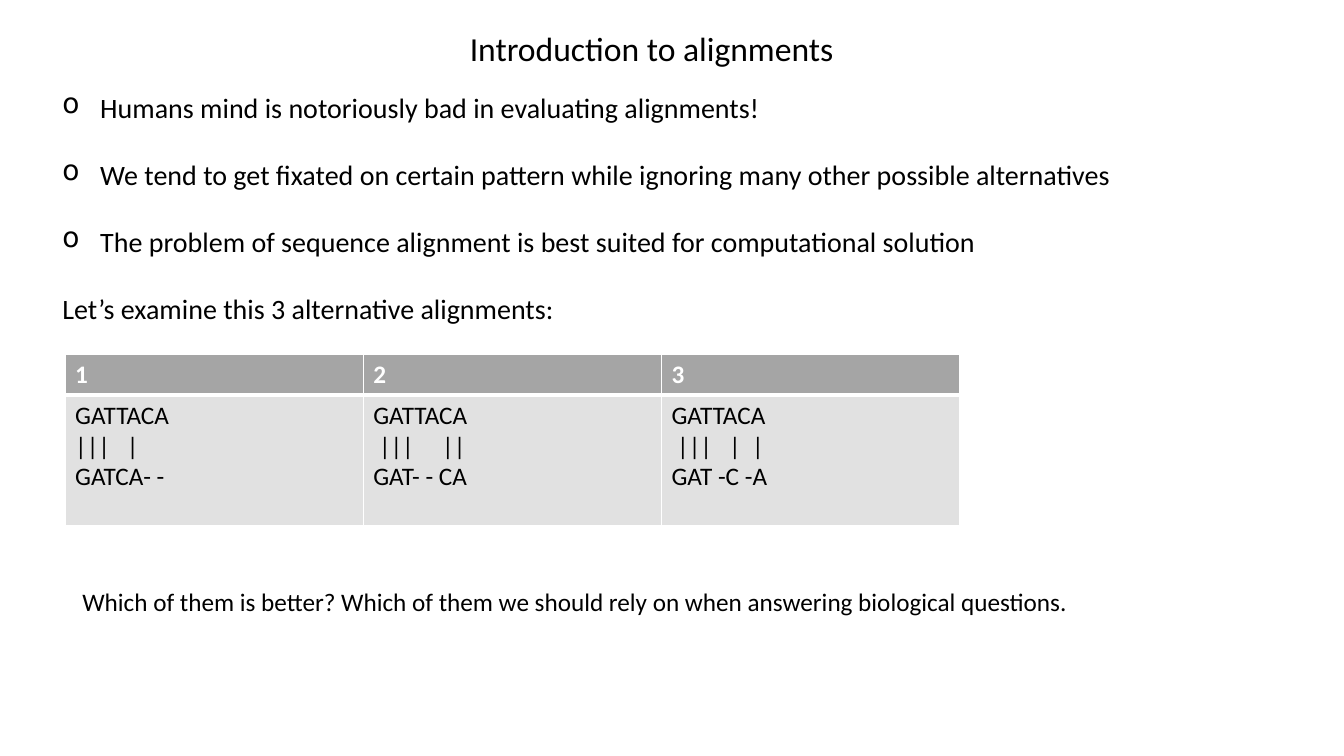
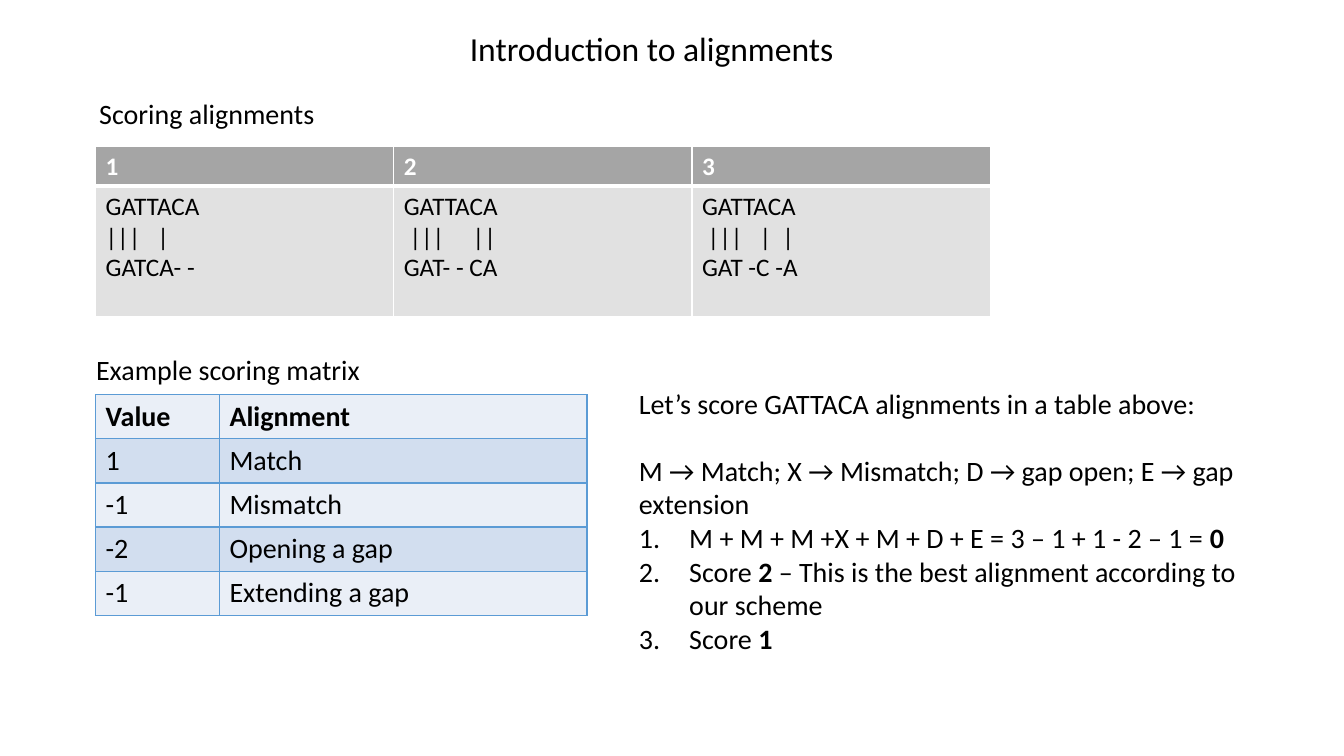
"""Two slides on comparing and scoring sequence alignments."""
from lxml.etree import SubElement
from pptx import Presentation
from pptx.dml.color import RGBColor
from pptx.oxml.ns import qn
from pptx.util import Pt

PX = 9525
FONT = "Calibri"
BLACK, WHITE = "000000", "FFFFFF"
HEAD_GREY, BODY_GREY = "A5A5A5", "E1E1E1"
PALE_BLUE, MID_BLUE, LINE_BLUE = "EAEFF7", "D2DEEF", "5B9BD5"
rgb = RGBColor.from_string


def add_text(tf, lines, size, color=BLACK):
    """Write (text, space after, bullet, indent) lines; text between asterisks is bold."""
    for i, (text, after, bullet, indent) in enumerate(lines):
        p = tf.paragraphs[0] if i == 0 else tf.add_paragraph()
        p.space_after = Pt(after)
        if bullet:
            pPr = p._p.get_or_add_pPr()
            pPr.set("marL", str(indent * PX))
            pPr.set("indent", str(-indent * PX))
            if bullet == "1.":
                SubElement(pPr, qn("a:buAutoNum"), type="arabicPeriod")
            else:
                SubElement(pPr, qn("a:buChar"), char=bullet)
        for j, part in enumerate(text.split("*")):
            if part:
                r = p.add_run()
                r.text = part
                r.font.name, r.font.size = FONT, Pt(size)
                r.font.bold = j % 2 == 1
                r.font.color.rgb = rgb(color)


def add_grid(slide, left, top, cols, heights, rows, size, fills, head_color, line, head_rule):
    """Add a table with solid row fills and ruled cells."""
    gf = slide.shapes.add_table(len(rows), len(cols), left * PX, top * PX,
                                sum(cols) * PX, sum(heights) * PX)
    table = gf.table
    table.first_row = table.horz_banding = False
    for c, width in enumerate(cols):
        table.columns[c].width = width * PX
    for r, row in enumerate(rows):
        table.rows[r].height = heights[r] * PX
        for c, text in enumerate(row):
            cell = table.cell(r, c)
            lines = [(t, 0, None, 0) for t in text.split("\n")]
            add_text(cell.text_frame, lines, size, BLACK if r else head_color)
            tcPr = cell._tc.get_or_add_tcPr()
            for side in ("L", "R", "T", "B"):
                under_head = (r, side) in ((0, "B"), (1, "T"))
                ln = SubElement(tcPr, qn(f"a:ln{side}"),
                                w=str(Pt(head_rule if under_head else 1)))
                SubElement(SubElement(ln, qn("a:solidFill")), qn("a:srgbClr"), val=line)
            cell.fill.solid()
            cell.fill.fore_color.rgb = rgb(fills[r])


TITLE = ((438, 22, 380, 50), 24, [("Introduction to alignments", 0, None, 0)])
ALIGNMENTS = [
    ["*1*", "*2*", "*3*"],
    ["GATTACA\n|||   |\nGATCA- -",
     "GATTACA\n |||     ||\nGAT- - CA",
     "GATTACA\n |||   |  |\nGAT -C -A"],
]
SCORES = [
    ["*Value*", "*Alignment*"],
    ["1", "Match"],
    ["-1", "Mismatch"],
    ["-2", "Opening a gap"],
    ["-1", "Extending a gap"],
]

intro_texts = [
    ((50, 81, 1100, 250), 20, [
        ("Humans mind is notoriously bad in evaluating alignments!", 24, "o", 36),
        ("We tend to get fixated on certain pattern while ignoring many other possible alternatives",
         24, "o", 36),
        ("The problem of sequence alignment is best suited for computational solution",
         24, "o", 36),
        ("Let’s examine this 3 alternative alignments:", 0, None, 0),
    ]),
    ((69, 554, 1000, 38), 18, [
        ("Which of them is better? Which of them we should rely on when answering "
         "biological questions.", 0, None, 0),
    ]),
]
scoring_texts = [
    ((85, 87, 400, 42), 20, [("Scoring alignments", 0, None, 0)]),
    ((82, 331, 400, 42), 20, [("Example scoring matrix", 0, None, 0)]),
    ((599, 363, 597, 268), 20, [
        ("Let’s score GATTACA alignments in a table above:", 24, None, 0),
        ("M → Match; X → Mismatch; D → gap open; E → gap extension", 0, None, 0),
        ("M + M + M +X + M + D + E = 3 – 1 + 1 - 2 – 1 = *0*", 0, "1.", 48),
        ("Score *2* – This is the best alignment according to our scheme", 0, "1.", 48),
        ("Score *1*", 0, "1.", 48),
    ]),
]

prs = Presentation()
prs.slide_width, prs.slide_height = 1280 * PX, 720 * PX

for texts, (left, top) in ((intro_texts, (62, 338)), (scoring_texts, (91, 139))):
    s = prs.slides.add_slide(prs.slide_layouts[6])
    for box, size, lines in [TITLE] + texts:
        sp = s.shapes.add_textbox(*(v * PX for v in box))
        sp.text_frame.word_wrap = True
        add_text(sp.text_frame, lines, size)
    add_grid(s, left, top, [284] * 3, [37, 124], ALIGNMENTS, 18,
             [HEAD_GREY, BODY_GREY], WHITE, WHITE, 3)

add_grid(s, 91, 376, [118, 350], [42] * 5, SCORES, 20,
         [PALE_BLUE, MID_BLUE] * 2 + [PALE_BLUE], BLACK, LINE_BLUE, 1)

prs.save("out.pptx")
